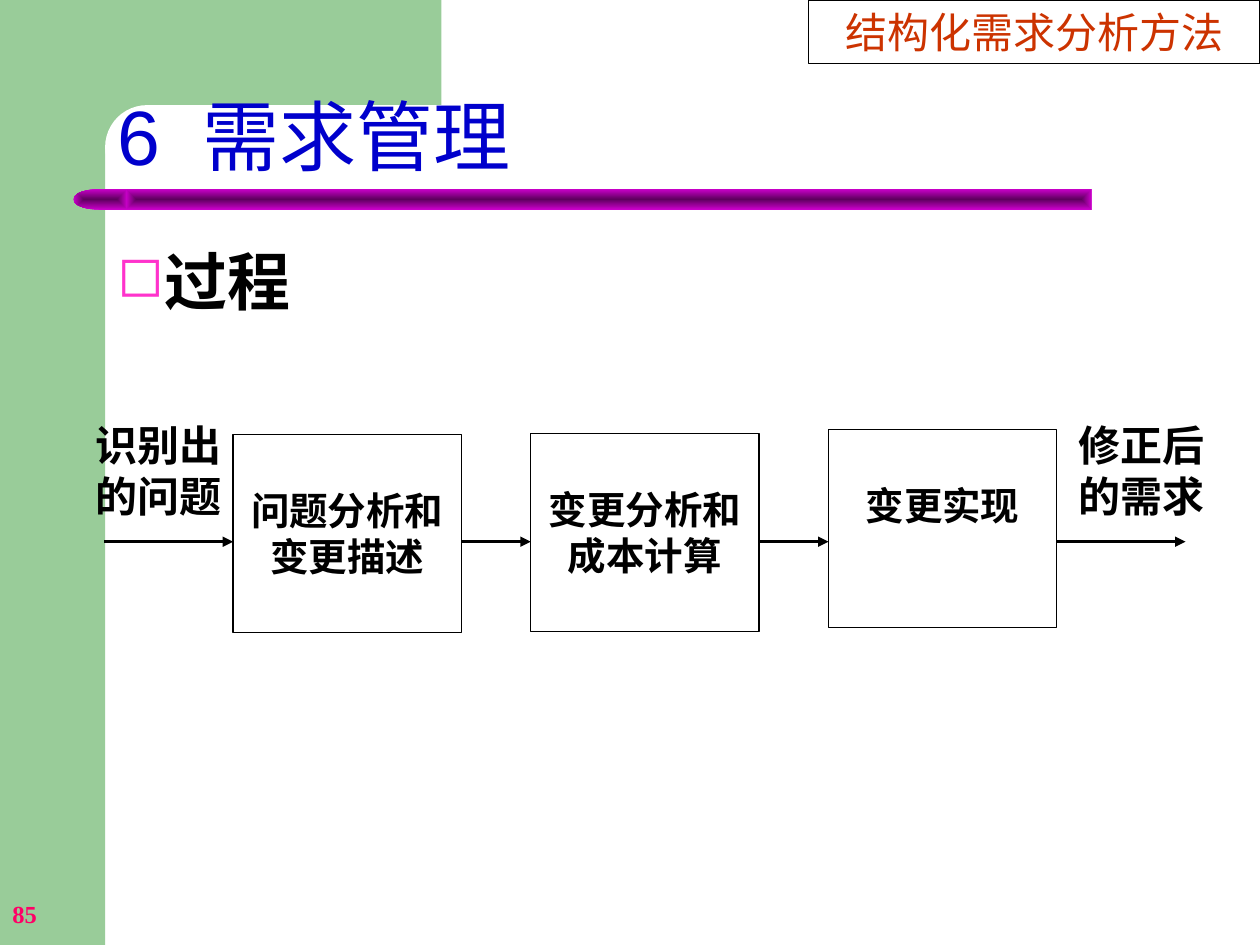
"""Build the requirements management slide with its change process flow."""
from lxml.etree import SubElement
from pptx import Presentation
from pptx.dml.color import RGBColor
from pptx.enum.shapes import MSO_CONNECTOR as Connector, MSO_SHAPE as Shape
from pptx.enum.text import MSO_ANCHOR as Anchor, PP_ALIGN as Align
from pptx.oxml import parse_xml
from pptx.oxml.ns import nsdecls, qn
from pptx.util import Cm, Pt

SANS, SERIF = "Noto Sans CJK SC", "Times New Roman"
GREEN, BLACK = "99CC99", "000000"
TITLE = ["6", " ", "需求管理"]
TOPIC = "结构化需求分析方法"
HEADING = "过程"
PAGE = "85"
STEPS = [
    ("问题分析和变更描述", 8.76, 0.13),
    ("变更分析和成本计算", 8.74, 0.13),
    ("变更实现", 8.66, 1.06),
]
LABELS = [("识别出的问题", 1.3), ("修正后的需求", 21.1)]
BANDS = [
    (Shape.RECTANGLE, (0, 0, 2.12, 19.05), GREEN),
    (Shape.RECTANGLE, (1.9, 0, 7, 2.96), GREEN),
    (Shape.ROUNDED_RECTANGLE, (2.12, 2.12, 14.18, 1.69), "FFFFFF"),
]
RULE_PARTS = [
    (Shape.RECTANGLE, (2.54, 3.81, 19.47, 0.42)),
    (Shape.FLOWCHART_DELAY, (1.48, 3.81, 1.09, 0.42)),
]
STEP_LEFT, STEP_PITCH, STEP_WIDTH, STEP_HEIGHT = 4.7, 6, 4.6, 3.99
FLOW_Y, OUTER_ARROW = 10.92, 2.6


def color(value):
    return RGBColor.from_string(value)


def place(shape, left, top, width, height):
    shape.left, shape.top, shape.width, shape.height = map(Cm, (left, top, width, height))


def add_box(slide, kind, bounds, fill=None, line=None):
    box = slide.shapes.add_shape(kind, *map(Cm, bounds))
    box.shadow.inherit = False
    if fill:
        box.fill.solid()
        box.fill.fore_color.rgb = color(fill)
    else:
        box.fill.background()
    if line:
        box.line.color.rgb = color(line)
        box.line.width = Pt(0.75)
    else:
        box.line.fill.background()
    return box


def shade(box):
    properties = box._element.spPr
    properties.replace(properties.find(qn("a:noFill")), parse_xml(
        f'<a:gradFill {nsdecls("a")}><a:gsLst>'
        '<a:gs pos="0"><a:srgbClr val="5E005E"/></a:gs>'
        '<a:gs pos="100000"><a:srgbClr val="CC00CC"/></a:gs></a:gsLst>'
        '<a:path path="rect"><a:fillToRect l="50000" t="50000" r="50000" b="50000"/></a:path>'
        '</a:gradFill>'))


def write(shape, *texts, size, font=SANS, ink=BLACK, bold=False, align=Align.LEFT,
          anchor=Anchor.TOP, spacing=1.0, bottom=0.13, wrap=True):
    frame = shape.text_frame
    frame.word_wrap = wrap
    frame.vertical_anchor = anchor
    frame.margin_left = frame.margin_right = Cm(0.25)
    frame.margin_top, frame.margin_bottom = Cm(0.13), Cm(bottom)
    paragraph = frame.paragraphs[0]
    paragraph.alignment, paragraph.line_spacing = align, spacing
    for text in texts:
        run = paragraph.add_run()
        run.text = text
        run.font.size, run.font.name, run.font.bold = Pt(size), font, bold
        run.font.color.rgb = color(ink)
        SubElement(run.font._element, qn("a:ea"), typeface=SANS)
    return paragraph


def add_text(slide, bounds, text, **style):
    return write(slide.shapes.add_textbox(*map(Cm, bounds)), text, **style)


def add_bullet(paragraph):
    properties = paragraph._p.get_or_add_pPr()
    properties.set("marL", str(Cm(0.95)))
    properties.set("indent", str(-Cm(0.95)))
    bullet_color = SubElement(properties, qn("a:buClr"))
    SubElement(bullet_color, qn("a:srgbClr"), val="FF33CC")
    SubElement(properties, qn("a:buSzPct"), val="90000")
    SubElement(properties, qn("a:buChar"), char="◻")


def add_arrow(slide, start, end):
    arrow = slide.shapes.add_connector(
        Connector.STRAIGHT, Cm(start), Cm(FLOW_Y), Cm(end), Cm(FLOW_Y))
    arrow.line.color.rgb = color(BLACK)
    arrow.line.width = Pt(1.5)
    SubElement(arrow.line._get_or_add_ln(), qn("a:tailEnd"), type="triangle")
    SubElement(arrow._element.spPr, qn("a:effectLst"))


def add_frame(slide):
    for kind, bounds, fill in BANDS:
        band = add_box(slide, kind, bounds, fill)
    band.adjustments[0] = 0.5
    for kind, bounds in RULE_PARTS:
        part = add_box(slide, kind, bounds)
        shade(part)
    part._element.spPr.xfrm.set("flipH", "1")
    add_text(slide, (0, 17.78, 5.29, 1.27), PAGE, size=14, font=SERIF, ink="FF0066",
             bold=True, anchor=Anchor.MIDDLE, wrap=False)


def add_headings(slide):
    title = slide.shapes.title
    slide.shapes._spTree.append(title._element)
    place(title, 2.12, 1.69, 22.23, 2.12)
    heading = write(title, *TITLE, size=44, font="Arial", ink="0000CC",
                    anchor=Anchor.BOTTOM, spacing=0.9)
    heading.runs[1].font._element.set("spc", "1200")
    add_bullet(add_text(slide, (2.12, 4.45, 22.43, 2.49), HEADING, size=36, font=SERIF,
                        bold=True, spacing=1.2))
    topic = add_box(slide, Shape.RECTANGLE, (16.3, 0, 9.1, 1.28), line=BLACK)
    write(topic, TOPIC, size=24, font=SERIF, ink="CC3300", align=Align.CENTER)


def add_flow(slide):
    lefts = [STEP_LEFT + i * STEP_PITCH for i in range(len(STEPS))]
    rights = [left + STEP_WIDTH for left in lefts]
    for left, (text, top, bottom) in zip(lefts, STEPS):
        step = add_box(slide, Shape.FLOWCHART_PROCESS,
                       (left, top, STEP_WIDTH, STEP_HEIGHT), line=BLACK)
        write(step, text, size=22, bold=True, align=Align.CENTER,
              anchor=Anchor.MIDDLE, bottom=bottom)
    starts = [lefts[0] - OUTER_ARROW] + rights
    ends = lefts + [rights[-1] + OUTER_ARROW]
    for start, end in zip(starts, ends):
        add_arrow(slide, start, end)
    for text, left in LABELS:
        add_text(slide, (left, 8.33, 3.81, 2.29), text, size=24, bold=True, align=Align.CENTER)


def main():
    deck = Presentation()
    deck.slide_width, deck.slide_height = Cm(25.4), Cm(19.05)
    slide = deck.slides.add_slide(deck.slide_layouts[5])
    add_frame(slide)
    add_headings(slide)
    add_flow(slide)
    deck.save("out.pptx")


if __name__ == "__main__":
    main()
